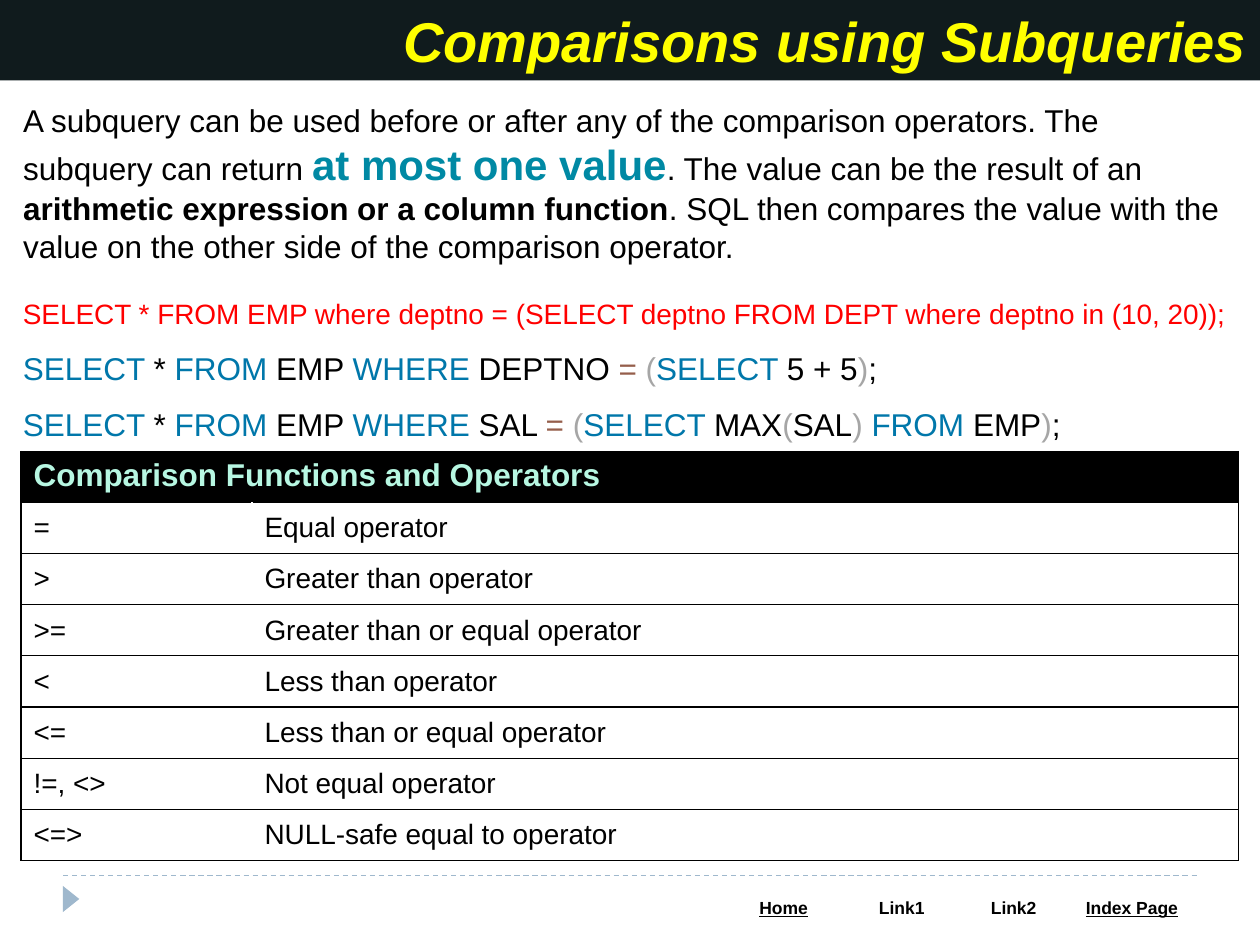
from lxml import etree
from pptx import Presentation
from pptx.dml.color import RGBColor
from pptx.enum.dml import MSO_LINE
from pptx.enum.shapes import MSO_CONNECTOR, MSO_SHAPE
from pptx.enum.text import MSO_ANCHOR, MSO_AUTO_SIZE, PP_ALIGN
from pptx.oxml.ns import qn
from pptx.util import Pt

DASH = MSO_LINE.DASH
STRAIGHT = MSO_CONNECTOR.STRAIGHT
TRIANGLE = MSO_SHAPE.ISOSCELES_TRIANGLE
TOP, MIDDLE = MSO_ANCHOR.TOP, MSO_ANCHOR.MIDDLE
NO_FIT = MSO_AUTO_SIZE.NONE
LEFT, CENTER, RIGHT = PP_ALIGN.LEFT, PP_ALIGN.CENTER, PP_ALIGN.RIGHT

COLORS = {
    "black": "000000", "white": "FFFFFF", "banner": "101B1D",
    "yellow": "FFFF00", "teal": "0089A4", "red": "FF0000",
    "keyword": "0077AA", "operator": "955E4B", "bracket": "A6A6A6",
    "mint": "B7F7E2", "footer": "9FB8CD",
}
SYNTAX = {"SELECT": "keyword", "FROM": "keyword", "WHERE": "keyword",
          "=": "operator", "(": "bracket", ")": "bracket"}

INTRO = [
    ("A subquery can be used before or after any of the comparison operators. "
     "The subquery can return ", {}),
    ("at most one value", {"size": 24, "color": "teal", "bold": True}),
    (". The value can be the result of an ", {}),
    ("arithmetic expression or a column function", {"bold": True}),
    (". SQL then compares the value with the value on the other side of the "
     "comparison operator.", {}),
]
WRONG_QUERY = ("SELECT * FROM EMP where deptno = "
               "(SELECT deptno FROM DEPT where deptno in (10, 20));")
# "|" separates the tokens that are coloured on their own
QUERIES = [
    "SELECT |* |FROM |EMP |WHERE |DEPTNO |= |(|SELECT |5 + 5|)|;",
    "SELECT |* |FROM |EMP |WHERE |SAL |= |(|SELECT |MAX|(|SAL|) |FROM |EMP|)|;",
]
OPERATORS = [
    ("=", "Equal operator"),
    (">", "Greater than operator"),
    (">=", "Greater than or equal operator"),
    ("<", "Less than operator"),
    ("<=", "Less than or equal operator"),
    ("!=, <>", "Not equal operator"),
    ("<=>", "NULL-safe equal to operator"),
]
NAVIGATION = [("Home", True), ("Link1", False), ("Link2", False), ("Index Page", True)]


def rgb(name):
    return RGBColor.from_string(COLORS[name])


def highlight(query):
    return [(token, {"color": SYNTAX.get(token.strip(), "black")})
            for token in query.split("|")]


class SlideBuilder:
    """Holds the text style and the slide being filled."""

    def __init__(self, slide, font="Arial", size=18):
        self.slide, self.font, self.size = slide, font, size

    def add_runs(self, p, runs, align=LEFT, spacing=1.0):
        p.alignment, p.line_spacing, p.space_before = align, spacing, Pt(0)
        for text, style in runs:
            r = p.add_run()
            r.text = text
            f = r.font
            f.name, f.size = self.font, Pt(style.get("size", self.size))
            f.bold, f.italic = style.get("bold", False), style.get("italic", False)
            f.underline = style.get("underline", False)
            f.color.rgb = rgb(style.get("color", "black"))

    def place(self, sp, left, top, width, height, anchor=TOP):
        sp.left, sp.top, sp.width, sp.height = Pt(left), Pt(top), Pt(width), Pt(height)
        tf = sp.text_frame
        tf.word_wrap, tf.auto_size, tf.vertical_anchor = True, NO_FIT, anchor
        return tf

    def title(self, text, *box):
        sp = self.slide.shapes.title
        sp.fill.solid()
        sp.fill.fore_color.rgb = rgb("banner")
        tf = self.place(sp, *box, anchor=MIDDLE)
        style = {"size": 32, "color": "yellow", "bold": True, "italic": True}
        self.add_runs(tf.paragraphs[0], [(text, style)], RIGHT)

    def body(self, runs, *box):
        p = self.place(self.slide.placeholders[1], *box).paragraphs[0]
        pPr = p._p.get_or_add_pPr()
        pPr.set("marL", "0")
        pPr.set("indent", "0")
        etree.SubElement(pPr, qn("a:buNone"))
        self.add_runs(p, runs)

    def text(self, paragraphs, *box, spacing=1.0):
        sp = self.slide.shapes.add_textbox(0, 0, 0, 0)
        tf = self.place(sp, *box)
        for i, runs in enumerate(paragraphs):
            p = tf.add_paragraph() if i else tf.paragraphs[0]
            self.add_runs(p, runs, spacing=spacing)

    def table(self, rows, left, top, widths, row_height):
        table = self.slide.shapes.add_table(
            rows, len(widths), Pt(left), Pt(top),
            Pt(sum(widths)), Pt(row_height * rows)).table
        for column, width in zip(table.columns, widths):
            column.width = Pt(width)
        return table

    def cell(self, cell, text, style, fill="white", align=LEFT, anchor=TOP, borders=""):
        """Fill a cell; borders names its black sides, in the order L, R, T, B."""
        cell.vertical_anchor = anchor
        self.add_runs(cell.text_frame.paragraphs[0], [(text, style)], align)
        tcPr = cell._tc.get_or_add_tcPr()
        for side in borders:
            ln = etree.SubElement(tcPr, qn(f"a:ln{side}"), w=str(Pt(0.75)))
            line_fill = etree.SubElement(ln, qn("a:solidFill"))
            etree.SubElement(line_fill, qn("a:srgbClr"), val=COLORS["black"])
        cell.fill.solid()
        cell.fill.fore_color.rgb = rgb(fill)

    def dashed_line(self, x1, x2, y, color):
        line = self.slide.shapes.add_connector(STRAIGHT, Pt(x1), Pt(y), Pt(x2), Pt(y))
        line.line.color.rgb = rgb(color)
        line.line.width, line.line.dash_style = Pt(0.75), DASH
        etree.SubElement(line._element.spPr, qn("a:effectLst"))

    def triangle(self, left, top, width, height, color):
        sp = self.slide.shapes.add_shape(TRIANGLE, Pt(left), Pt(top), Pt(width), Pt(height))
        sp.rotation = 90
        sp.shadow.inherit = False
        sp.fill.solid()
        sp.fill.fore_color.rgb = rgb(color)
        sp.line.fill.background()


def main():
    prs = Presentation()
    prs.slide_width, prs.slide_height = Pt(720), Pt(540)
    s = SlideBuilder(prs.slides.add_slide(prs.slide_layouts[1]))

    s.triangle(33.1, 509, 15, 9.4, "footer")
    s.dashed_line(36, 684, 500.4, "footer")
    navigation = s.table(1, 414, 509.8, [67.5, 67.5, 60.5, 74.5], 19.4)
    for cell, (label, linked) in zip(navigation.rows[0].cells, NAVIGATION):
        s.cell(cell, label, {"size": 10, "bold": True, "underline": linked}, align=CENTER)

    s.title("Comparisons using Subqueries", 0, 0, 720, 46)
    s.body(INTRO, 6, 54, 708, 101.5)
    queries = [[(WRONG_QUERY, {"size": 16, "color": "red"})]]
    queries += [highlight(query) for query in QUERIES]
    s.text(queries, 6, 156.2, 708, 101.5, spacing=1.5)

    operators = s.table(len(OPERATORS) + 1, 12, 258, [132, 564], 29.2)
    header = operators.cell(0, 0)
    header.merge(operators.cell(0, 1))
    s.cell(header, "Comparison Functions and Operators",
           {"color": "mint", "bold": True}, fill="black", borders="LRTB")
    for row, texts in enumerate(OPERATORS, 1):
        for column, (text, borders) in enumerate(zip(texts, ("LTB", "RTB"))):
            s.cell(operators.cell(row, column), text, {"size": 16},
                   anchor=MIDDLE, borders=borders)

    prs.save("out.pptx")


if __name__ == "__main__":
    main()
